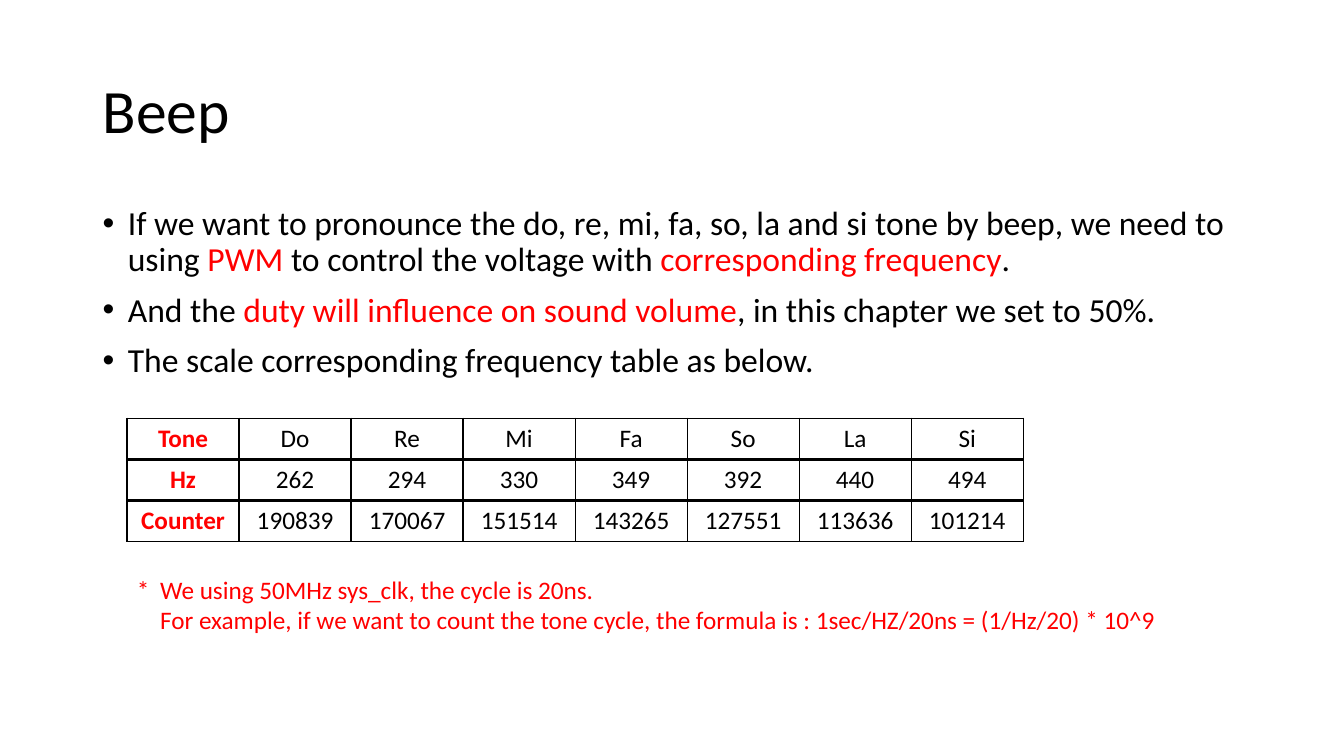
from lxml.etree import SubElement
from pptx import Presentation
from pptx.dml.color import RGBColor
from pptx.enum.text import MSO_ANCHOR, PP_ALIGN
from pptx.oxml.ns import qn
from pptx.util import Inches, Pt

BLACK = RGBColor(0x00, 0x00, 0x00)
RED = RGBColor(0xFF, 0x00, 0x00)
FONT = "Calibri"

POINTS = [
    [("If we want to pronounce the do, re, mi, fa, so, la and si tone by beep, "
      "we need to using ", BLACK),
     ("PWM", RED),
     (" to control the voltage with ", BLACK),
     ("corresponding frequency", RED),
     (".", BLACK)],
    [("And the ", BLACK),
     ("duty will influence on sound volume", RED),
     (", in this chapter we set to 50%.", BLACK)],
    [("The scale corresponding frequency table as below.", BLACK)],
]
SCALE = [
    ["Tone", "Do", "Re", "Mi", "Fa", "So", "La", "Si"],
    ["Hz", "262", "294", "330", "349", "392", "440", "494"],
    ["Counter", "190839", "170067", "151514", "143265", "127551", "113636", "101214"],
]
CLOCK_NOTE = [
    "*\tWe using 50MHz sys_clk, the cycle is 20ns.",
    "For example, if we want to count the tone cycle, the formula is : "
    "1sec/HZ/20ns = (1/Hz/20) * 10^9",
]


def set_font(paragraph, size, color=None, bold=False):
    font = paragraph.font
    font.name, font.size, font.bold = FONT, Pt(size), bold
    if color is not None:
        font.color.rgb = color


def set_indent(paragraph, left, first):
    properties = paragraph._p.get_or_add_pPr()
    properties.set("marL", str(Inches(left)))
    properties.set("indent", str(Inches(first)))
    return properties


def add_frame(slide, left, top, width, height):
    frame = slide.shapes.add_textbox(
        Inches(left), Inches(top), Inches(width), Inches(height)).text_frame
    frame.word_wrap = True
    return frame


def next_paragraph(frame, index):
    return frame.add_paragraph() if index else frame.paragraphs[0]


def add_title(slide, left, top, width, height):
    frame = add_frame(slide, left, top, width, height)
    frame.vertical_anchor = MSO_ANCHOR.MIDDLE
    title = frame.paragraphs[0]
    title.text = "Beep"
    title.line_spacing = 0.9
    set_font(title, 44, BLACK)


def add_points(slide, left, top, width, height):
    frame = add_frame(slide, left, top, width, height)
    for index, phrases in enumerate(POINTS):
        point = next_paragraph(frame, index)
        point.line_spacing = 0.9
        if index:
            point.space_before = Pt(10)
        properties = set_indent(point, 0.25, -0.25)
        SubElement(properties, qn("a:buFont")).set("typeface", "Arial")
        SubElement(properties, qn("a:buChar")).set("char", "•")
        set_font(point, 24)
        for words, color in phrases:
            phrase = point.add_run()
            phrase.text = words
            phrase.font.color.rgb = color


def set_borders(cell, top, bottom):
    properties = cell._tc.get_or_add_tcPr()
    for side, weight in (("L", 1), ("R", 1), ("T", top), ("B", bottom)):
        line = SubElement(properties, qn(f"a:ln{side}"), w=str(Pt(weight)))
        fill = SubElement(line, qn("a:solidFill"))
        SubElement(fill, qn("a:srgbClr")).set("val", str(BLACK))


def add_scale_table(slide, left, top, width, height):
    last = len(SCALE) - 1
    table = slide.shapes.add_table(
        len(SCALE), len(SCALE[0]), Inches(left), Inches(top),
        Inches(width), Inches(height)).table
    table.first_row = table.horz_banding = False
    for row, values in enumerate(SCALE):
        for column, value in enumerate(values):
            cell = table.cell(row, column)
            is_label = column == 0
            cell.text = value
            entry = cell.text_frame.paragraphs[0]
            entry.alignment = PP_ALIGN.CENTER
            set_font(entry, 18, RED if is_label else BLACK, is_label)
            set_borders(cell, 2.25 if row else 1, 2.25 if row < last else 1)
            cell.fill.background()


def add_clock_note(slide, left, top, width, height):
    frame = add_frame(slide, left, top, width, height)
    for index, sentence in enumerate(CLOCK_NOTE):
        line = next_paragraph(frame, index)
        line.add_run().text = sentence
        set_indent(line, 0.23, 0 if index else -0.23)
        set_font(line, 18, RED)


def main():
    deck = Presentation()
    deck.slide_width, deck.slide_height = Inches(13.33), Inches(7.5)
    slide = deck.slides.add_slide(deck.slide_layouts[6])
    add_title(slide, 0.92, 0.4, 11.5, 1.45)
    add_points(slide, 0.92, 2, 11.5, 4.76)
    add_scale_table(slide, 1.26, 4.15, 8.89, 1.22)
    add_clock_note(slide, 1.26, 5.65, 11.27, 0.71)
    deck.save("out.pptx")


if __name__ == "__main__":
    main()
